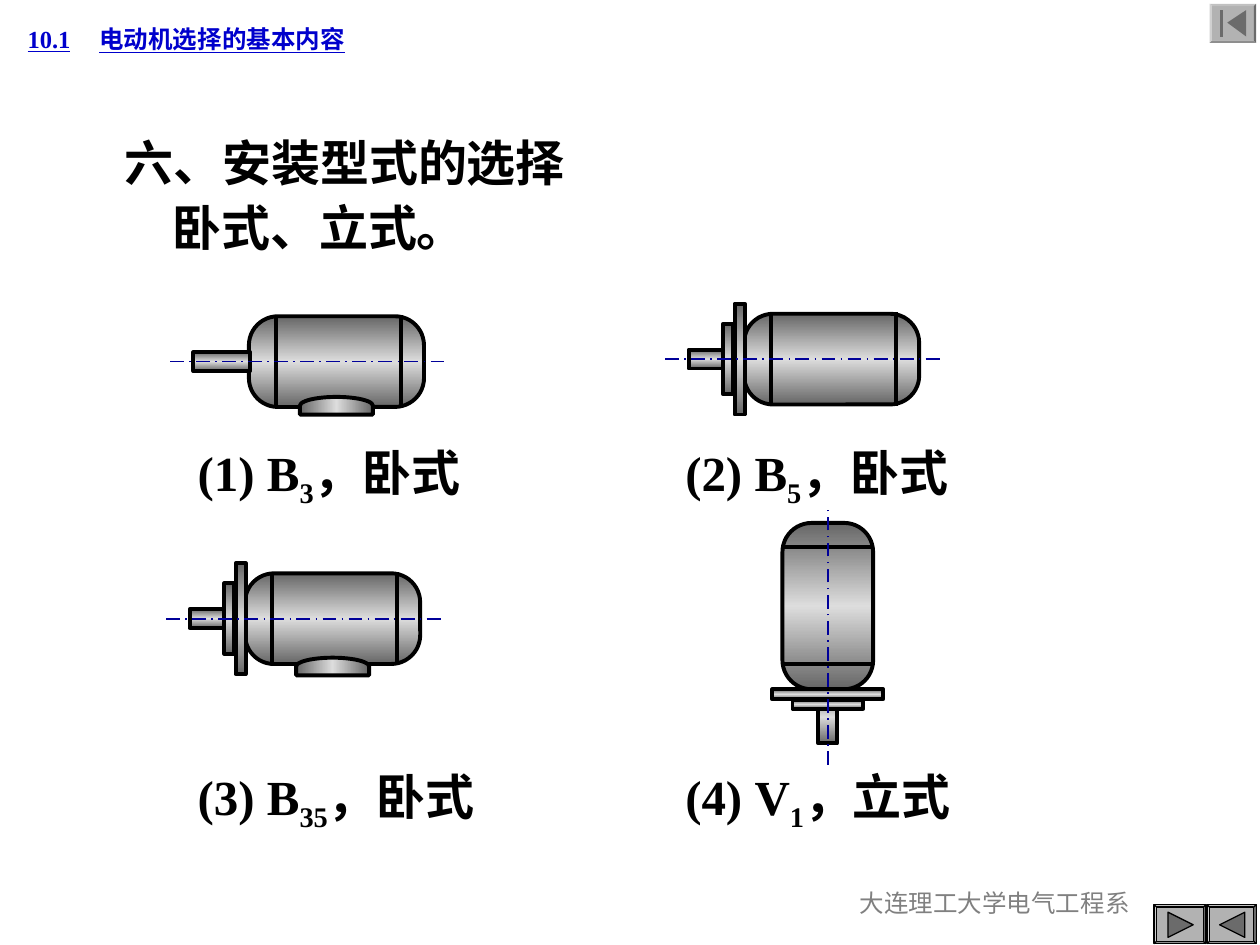
"""Build the slide on motor mounting types."""
from lxml import etree
from pptx import Presentation
from pptx.dml.color import RGBColor
from pptx.enum import dml, shapes, text
from pptx.oxml import parse_xml
from pptx.oxml.ns import nsdecls, qn
from pptx.util import Inches, Pt

BLACK = RGBColor(0x00, 0x00, 0x00)
GRAY = RGBColor(0x80, 0x80, 0x80)
TITLE_BLUE = RGBColor(0x00, 0x00, 0xCC)
AXIS_BLUE = RGBColor(0x00, 0x00, 0x99)
BUTTON = RGBColor(0xB2, 0xB2, 0xB2)
ICON = RGBColor(0x6B, 0x6B, 0x6B)
METAL_DARK = RGBColor(0x66, 0x66, 0x66)
METAL_LIGHT = RGBColor(0xDD, 0xDD, 0xDD)
MSO = shapes.MSO_SHAPE


def add_box(s, x, y, w, h, anchor=text.MSO_ANCHOR.TOP):
    tf = s.shapes.add_textbox(Inches(x), Inches(y), Inches(w), Inches(h)).text_frame
    tf.word_wrap = True
    tf.vertical_anchor = anchor
    return tf


def add_tab(p, pos):
    tabs = etree.SubElement(p._p.get_or_add_pPr(), qn("a:tabLst"))
    etree.SubElement(tabs, qn("a:tab"), pos=str(Inches(pos)), algn="l")


def set_font(p, size, color, bold=True):
    p.font.name = "Times New Roman"
    p.font.size = Pt(size)
    p.font.bold = bold
    p.font.color.rgb = color


def add_title(s):
    p = add_box(s, 0.12, 0.14, 3.19, 0.34, text.MSO_ANCHOR.MIDDLE).paragraphs[0]
    p.text = "10.1\t电动机选择的基本内容"
    add_tab(p, 0.57)
    set_font(p, 14, TITLE_BLUE)
    p.font.underline = True


def add_heading(s):
    tf = add_box(s, 0.79, 1, 3.93, 1.6)
    tf.text = "六、安装型式的选择\n卧式、立式。"
    for p, indent in zip(tf.paragraphs, (0.1, 0.48)):
        p._p.get_or_add_pPr().set("marL", str(Inches(indent)))
        set_font(p, 28, BLACK)
    tf.paragraphs[1].space_before = Pt(3.5)


def add_labels(s):
    rows = (
        (("(1) B", "3", "，卧式"), ("(2) B", "5", "，卧式")),
        (("(3) B", "35", "，卧式"), ("(4) V", "1", "，立式")),
    )
    tf = add_box(s, 1.47, 3.46, 7.55, 3.1)
    for i, (first, second) in enumerate(rows):
        p = tf.add_paragraph() if i else tf.paragraphs[0]
        add_tab(p, 3.87)
        if i:
            p.space_before = Pt(147)
        set_font(p, 28, BLACK)
        for j, words in enumerate((*first, "\t", *second)):
            r = p.add_run()
            r.text = words
            if j in (1, 5):
                r.font._element.set("baseline", "-25000")


def add_footer(s):
    p = add_box(s, 6.31, 7, 3.17, 0.5).paragraphs[0]
    p.text = "大连理工大学电气工程系"
    p.alignment = text.PP_ALIGN.CENTER
    set_font(p, 14, GRAY, bold=False)


def fill_metal(sp, angle):
    """Shade from dark to light to dark, at an angle fixed to the slide."""
    stops = "".join(
        f'<a:gs pos="{pos}"><a:srgbClr val="{color}"/></a:gs>'
        for pos, color in ((0, METAL_DARK), (50000, METAL_LIGHT), (100000, METAL_DARK))
    )
    grad = parse_xml(
        f'<a:gradFill {nsdecls("a")} rotWithShape="0"><a:gsLst>{stops}</a:gsLst>'
        f'<a:lin ang="{angle * 60000}" scaled="1"/></a:gradFill>'
    )
    sp._element.spPr.find(qn("a:prstGeom")).addnext(grad)


def add_part(g, kind, cx, cy, w, h, rot=0, angle=90):
    """Add a metal part centred on a point."""
    sp = g.shapes.add_shape(
        kind, Inches(cx - w / 2), Inches(cy - h / 2), Inches(w), Inches(h))
    sp.rotation = rot
    sp.shadow.inherit = False
    fill_metal(sp, angle)
    sp.line.color.rgb = BLACK
    sp.line.width = Pt(2.25)
    if kind == MSO.ROUNDED_RECTANGLE:
        sp.adjustments[0] = 0.32


def add_line(g, x1, y1, x2, y2, color=BLACK, width=2.25):
    ln = g.shapes.add_connector(
        shapes.MSO_CONNECTOR.STRAIGHT, Inches(x1), Inches(y1), Inches(x2), Inches(y2))
    ln.line.color.rgb = color
    ln.line.width = Pt(width)
    etree.SubElement(ln._element.spPr, qn("a:effectLst"))
    return ln


def add_axis(g, *ends):
    ln = add_line(g, *ends, color=AXIS_BLUE, width=1)
    ln.line.dash_style = dml.MSO_LINE.LONG_DASH_DOT


def add_horizontal_motor(s, x, cy, foot=None, flange=False):
    """Add a motor whose body starts at x; foot is its drop below the axis."""
    g = s.shapes.add_group_shape()
    add_part(g, MSO.ROUNDED_RECTANGLE, x + 0.69, cy, 1.39, 0.72)
    for seam in (x + 0.21, x + 1.2):
        add_line(g, seam, cy - 0.37, seam, cy + 0.37)
    add_part(g, MSO.RECTANGLE, x - 0.22, cy, 0.45, 0.15)
    if foot:
        add_part(g, MSO.FLOWCHART_DELAY, x + 0.69, cy + foot, 0.14, 0.58, 270, 180)
    if flange:
        add_part(g, MSO.RECTANGLE, x - 0.04, cy, 0.08, 0.88)
        add_part(g, MSO.RECTANGLE, x - 0.13, cy, 0.08, 0.56)
    add_axis(g, x - 0.63, cy, x + 1.55, cy)


def add_vertical_motor(s, cx, cy):
    g = s.shapes.add_group_shape()
    add_part(g, MSO.ROUNDED_RECTANGLE, cx, cy, 1.32, 0.72, 270)
    for seam in (cy + 0.46, cy - 0.47):
        add_line(g, cx - 0.37, seam, cx + 0.37, seam)
    for drop, w, h in ((0.88, 0.42, 0.15), (0.7, 0.08, 0.88), (0.78, 0.07, 0.56)):
        add_part(g, MSO.RECTANGLE, cx, cy + drop, w, h, 270)
    add_axis(g, cx, cy + 1.26, cx, cy - 0.8)


def paint_button(sp, color, outlined):
    sp.shadow.inherit = False
    sp.fill.solid()
    sp.fill.fore_color.rgb = color
    if outlined:
        sp.line.color.rgb = BLACK
        sp.line.width = Pt(0.75)
    else:
        sp.line.fill.background()


def add_button(s, x, y, w, icons, outlined=True):
    sp = s.shapes.add_shape(MSO.BEVEL, Inches(x), Inches(y), Inches(w), Inches(0.31))
    sp.adjustments[0] = 0.06
    paint_button(sp, BUTTON, outlined)
    for start, *points in icons:
        fb = s.shapes.build_freeform(Inches(start[0]), Inches(start[1]))
        fb.add_line_segments([(Inches(px), Inches(py)) for px, py in points])
        paint_button(fb.convert_to_shape(), ICON, outlined)


def main():
    prs = Presentation()
    prs.slide_width, prs.slide_height = Inches(10), Inches(7.5)
    s = prs.slides.add_slide(prs.slide_layouts[6])
    add_footer(s)
    add_heading(s)
    add_title(s)
    add_button(s, 9.16, 7.18, 0.41, [[(9.27, 7.24), (9.47, 7.34), (9.27, 7.44)]])
    add_button(s, 9.58, 7.18, 0.39, [[(9.68, 7.34), (9.88, 7.24), (9.88, 7.44)]])
    add_horizontal_motor(s, 1.98, 2.87, foot=0.35)
    add_horizontal_motor(s, 5.91, 2.85, flange=True)
    add_horizontal_motor(s, 1.95, 4.91, foot=0.38, flange=True)
    add_vertical_motor(s, 6.57, 4.81)
    add_labels(s)
    add_button(s, 9.6, 0.03, 0.37, [
        [(9.74, 0.18), (9.89, 0.08), (9.89, 0.29)],
        [(9.68, 0.08), (9.71, 0.08), (9.71, 0.29), (9.68, 0.29)],
    ], outlined=False)
    prs.save("out.pptx")


if __name__ == "__main__":
    main()
